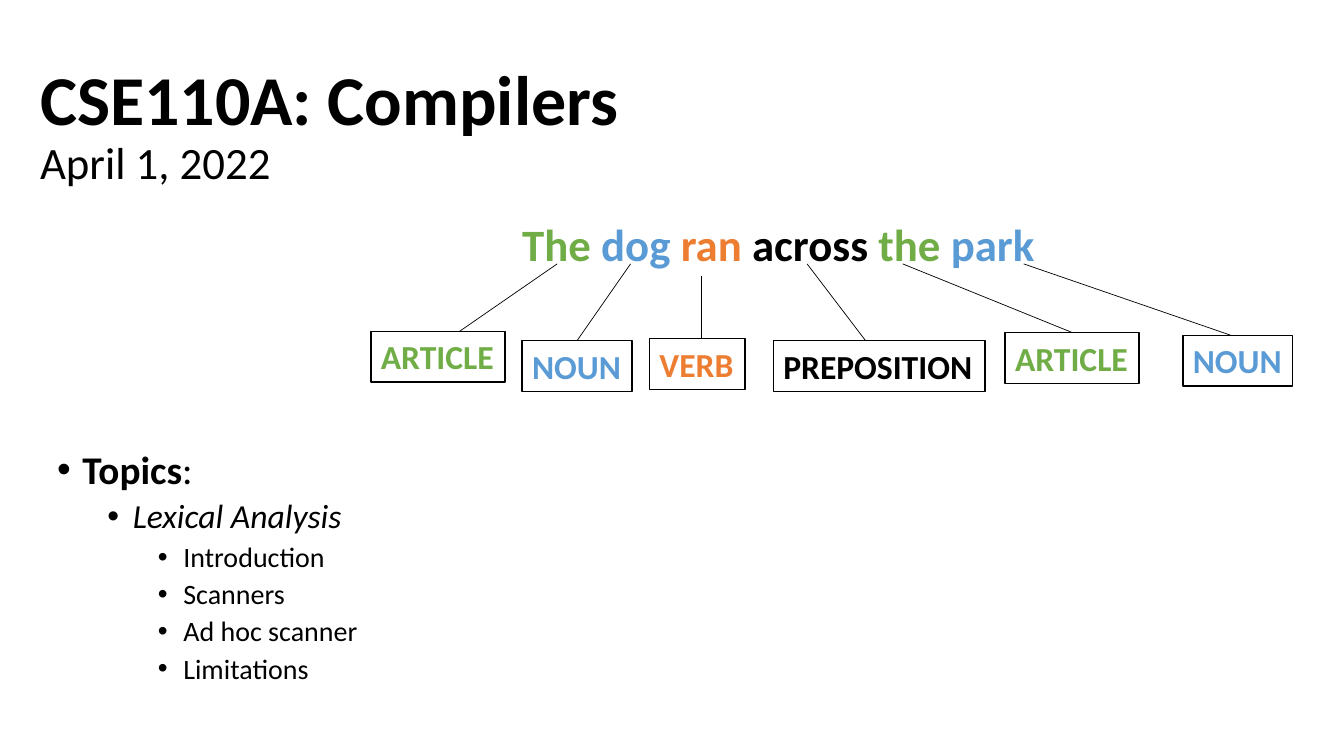
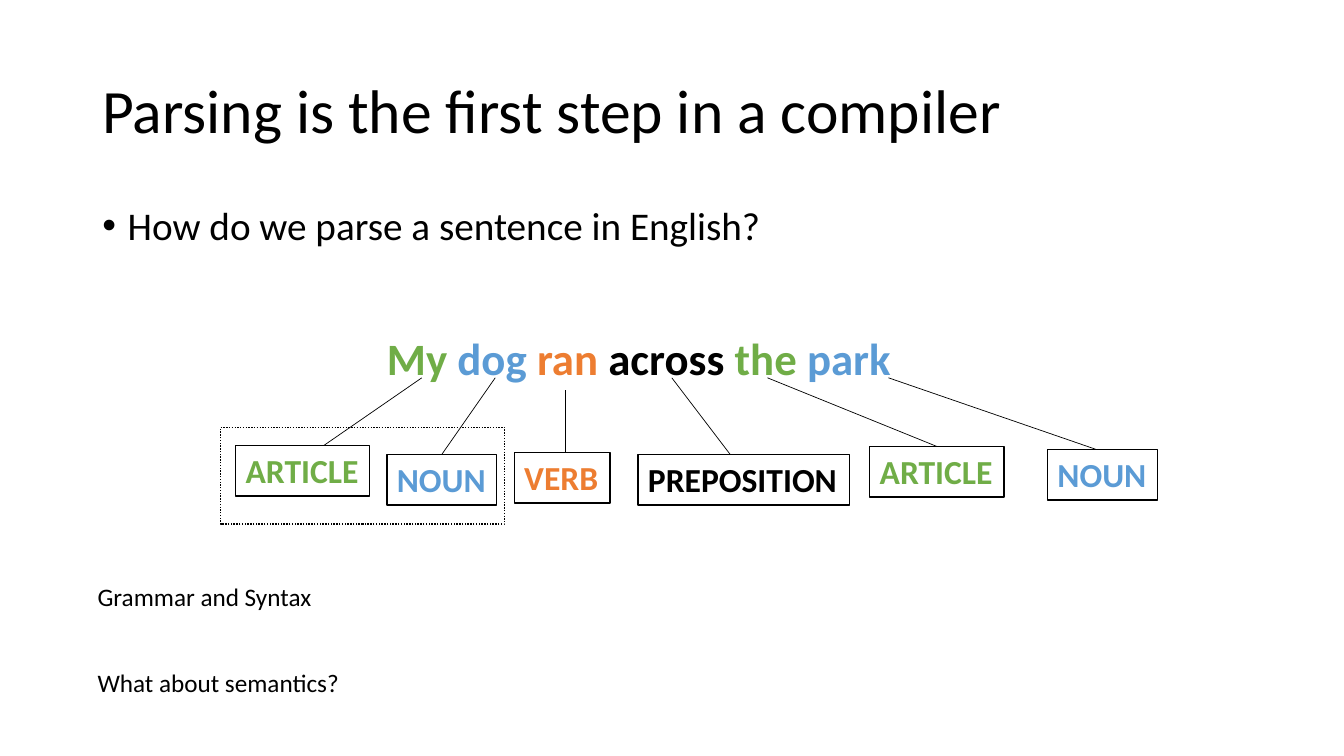
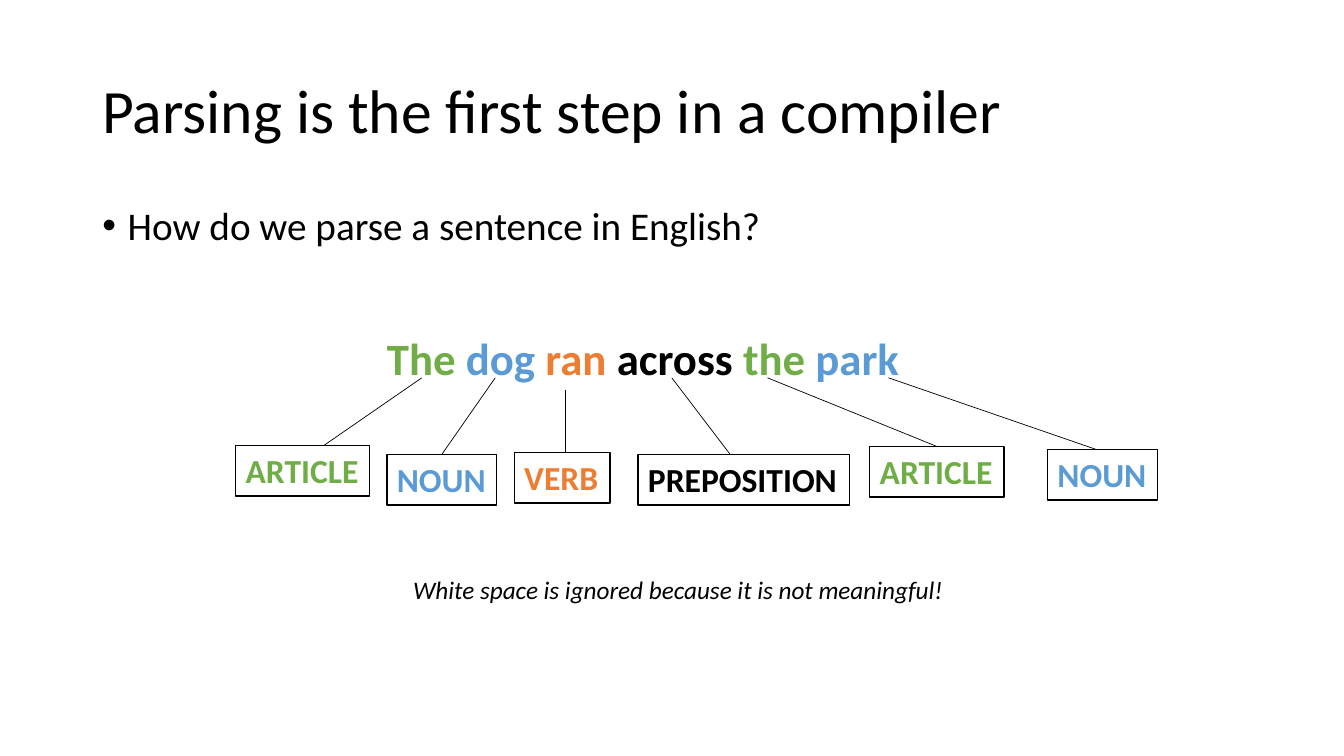
from dataclasses import dataclass

import pptx
import pptx.dml.color
import pptx.enum.dml
import pptx.enum.shapes
import pptx.enum.text
import pptx.oxml.ns
import pptx.util
from lxml import etree

Cm = pptx.util.Cm
Pt = pptx.util.Pt
ANCHOR = pptx.enum.text.MSO_ANCHOR


@dataclass(frozen=True)
class Theme:
    font: str = "Calibri"
    ink: str = "000000"
    paper: str = "FFFFFF"
    article: str = "70AD47"
    noun: str = "5B9BD5"
    verb: str = "ED7D31"
    cover_title: int = 50
    title: int = 44
    sentence: int = 32
    levels: tuple = (28, 24, 20)
    label: int = 24
    note: int = 18
    line_spacing: float = 0.9
    branch_width: float = 0.5
    border_width: float = 1


THEME = Theme()

LABEL_HEIGHT = 1.28
BRANCH_TOP = 1.32

# One row per word, in cm from the diagram's corner:
# label, colour, label left, top, width, branch start x, start y,
# branch end x (None joins the middle of the label's top side)
PARTS_OF_SPEECH = [
    ("ARTICLE", THEME.article, 0, 3.02, 3.38, 4.69, BRANCH_TOP, 2.23),
    ("NOUN", THEME.noun, 3.81, 3.25, 2.77, 6.54, BRANCH_TOP, None),
    ("VERB", THEME.verb, 7.02, 3.2, 2.41, 8.32, 1.63, 8.32),
    ("PREPOSITION", THEME.ink, 10.14, 3.25, 5.33, 10.99, BRANCH_TOP, 12.46),
    ("ARTICLE", THEME.article, 15.98, 3.05, 3.38, 13.4, BRANCH_TOP, None),
    ("NOUN", THEME.noun, 20.46, 3.12, 2.77, 16.45, BRANCH_TOP, 21.67),
]


def rgb(colour):
    return pptx.dml.color.RGBColor.from_string(colour)


def format_run(run, size, colour=THEME.ink, bold=False, italic=False):
    run.font.name = THEME.font
    run.font.size = Pt(size)
    run.font.color.rgb = rgb(colour)
    run.font.bold = bold
    run.font.italic = italic


def add_text_box(slide, left, top, width, height, anchor=ANCHOR.TOP, wrap=True):
    shape = slide.shapes.add_textbox(Cm(left), Cm(top), Cm(width), Cm(height))
    text_frame = shape.text_frame
    text_frame.word_wrap = wrap
    text_frame.vertical_anchor = anchor
    if not wrap:
        text_frame.auto_size = pptx.enum.text.MSO_AUTO_SIZE.SHAPE_TO_FIT_TEXT
    return text_frame


def add_title(slide, text, left, top, width, height, styles):
    """Place a title; styles holds one (size, bold) pair per line."""
    text_frame = add_text_box(slide, left, top, width, height, ANCHOR.MIDDLE)
    paragraph = text_frame.paragraphs[0]
    paragraph.text = text
    paragraph.line_spacing = THEME.line_spacing
    for run, (size, bold) in zip(paragraph.runs, styles):
        format_run(run, size, bold=bold)


def add_bullets(slide, items, left, top, width, height):
    """Place a bulleted list of (level, text, italic) items."""
    text_frame = add_text_box(slide, left, top, width, height)
    text_frame.text = "\n".join(text for _, text, _ in items)
    for index, (level, _, italic) in enumerate(items):
        paragraph = text_frame.paragraphs[index]
        properties = paragraph._p.get_or_add_pPr()
        properties.set("marL", str(Cm(0.64 + 1.27 * level)))
        properties.set("indent", str(-Cm(0.64)))
        bullet_font = etree.SubElement(properties, pptx.oxml.ns.qn("a:buFont"))
        bullet_font.set("typeface", "Arial")
        bullet = etree.SubElement(properties, pptx.oxml.ns.qn("a:buChar"))
        bullet.set("char", "•")
        paragraph.level = level
        paragraph.line_spacing = THEME.line_spacing
        paragraph.space_before = Pt(5 if index else 0)
        for run in paragraph.runs:
            format_run(run, THEME.levels[level], italic=italic)
    return text_frame


def add_note(slide, text, left, top, width, italic=False):
    text_frame = add_text_box(slide, left, top, width, 1.02, wrap=False)
    text_frame.text = text
    format_run(text_frame.paragraphs[0].runs[0], THEME.note, italic=italic)


def add_rectangle(slide, left, top, width, height):
    shape = slide.shapes.add_shape(
        pptx.enum.shapes.MSO_SHAPE.RECTANGLE, Cm(left), Cm(top), Cm(width), Cm(height))
    shape.shadow.inherit = False
    shape.line.color.rgb = rgb(THEME.ink)
    shape.line.width = Pt(THEME.border_width)
    return shape


def add_label(slide, text, colour, left, top, width):
    shape = add_rectangle(slide, left, top, width, LABEL_HEIGHT)
    shape.fill.solid()
    shape.fill.fore_color.rgb = rgb(THEME.paper)
    text_frame = shape.text_frame
    text_frame.word_wrap = False
    text_frame.auto_size = pptx.enum.text.MSO_AUTO_SIZE.SHAPE_TO_FIT_TEXT
    text_frame.vertical_anchor = ANCHOR.TOP
    text_frame.text = text
    paragraph = text_frame.paragraphs[0]
    paragraph.alignment = pptx.enum.text.PP_ALIGN.LEFT
    format_run(paragraph.runs[0], THEME.label, colour, bold=True)
    return shape


def add_branch(slide, start_x, start_y, end_x, end_y):
    connector = slide.shapes.add_connector(
        pptx.enum.shapes.MSO_CONNECTOR.STRAIGHT,
        Cm(start_x), Cm(start_y), Cm(end_x), Cm(end_y))
    connector.line.color.rgb = rgb(THEME.ink)
    connector.line.width = Pt(THEME.branch_width)
    etree.SubElement(connector._element.spPr, pptx.oxml.ns.qn("a:effectLst"))
    return connector


def add_sentence_diagram(slide, sentence, left, top, width):
    """Place a coloured sentence with a branch from each word to its label."""
    # Sentence
    words = sentence.split()
    text_frame = add_text_box(slide, left + 3.56, top, width, 1.62, wrap=False)
    paragraph = text_frame.paragraphs[0]
    for index, (word, part) in enumerate(zip(words, PARTS_OF_SPEECH)):
        run = paragraph.add_run()
        run.text = word if index == len(words) - 1 else word + " "
        format_run(run, THEME.sentence, part[1], bold=True)

    # Labels and branches
    for text, colour, x, y, label_width, start_x, start_y, end_x in PARTS_OF_SPEECH:
        label = add_label(slide, text, colour, left + x, top + y, label_width)
        joined = end_x is None
        target_x = x + label_width / 2 if joined else end_x
        branch = add_branch(slide, left + start_x, top + start_y,
                            left + target_x, top + y)
        if joined:
            branch.end_connect(label, 0)


def add_phrase_frame(slide, left, top, width, height):
    shape = add_rectangle(slide, left, top, width, height)
    shape.fill.background()
    shape.line.dash_style = pptx.enum.dml.MSO_LINE.ROUND_DOT


def build_cover(slide):
    add_title(slide, "CSE110A: Compilers\vApril 1, 2022", 0.76, 1.04, 29.21, 4.32,
              [(THEME.cover_title, True), (THEME.sentence, False)])
    topics = [(0, "Topics", False), (1, "Lexical Analysis", True)]
    topics += [(2, text, False) for text in
               ("Introduction", "Scanners", "Ad hoc scanner", "Limitations")]
    text_frame = add_bullets(slide, topics, 1.19, 11.23, 19.18, 6.68)
    heading = text_frame.paragraphs[0]
    heading.runs[0].font.bold = True
    colon = heading.add_run()
    colon.text = ":"
    format_run(colon, THEME.levels[0])
    add_sentence_diagram(slide, "The dog ran across the park", 9.35, 5.33, 13.51)


def build_parsing(slide, sentence, sentence_width):
    left, width = 2.33, 29.21
    add_title(slide, "Parsing is the first step in a compiler", left, 1.01, width, 3.68,
              [(THEME.title, False)])
    add_bullets(slide, [(0, "How do we parse a sentence in English?", False)],
                left, 5.07, width, 1.78)
    add_sentence_diagram(slide, sentence, 5.94, 8.2, sentence_width)


def main():
    presentation = pptx.Presentation()
    presentation.slide_width = Cm(33.87)
    presentation.slide_height = Cm(19.05)
    cover, grammar, spacing = [
        presentation.slides.add_slide(presentation.slide_layouts[6]) for _ in range(3)]

    # Cover
    build_cover(cover)

    # Grammar and semantics
    add_phrase_frame(grammar, 5.56, 10.77, 7.16, 2.44)
    build_parsing(grammar, "My dog ran across the park", 13.31)
    add_note(grammar, "Grammar and Syntax", 2.21, 14.53, 5.97)
    add_note(grammar, "What about semantics?", 2.21, 16.69, 6.68)

    # White space
    build_parsing(spacing, "The dog ran across the park", 13.51)
    add_note(spacing, "White space is ignored because it is not meaningful!",
             10.16, 14.35, 14.1, italic=True)

    presentation.save("out.pptx")


if __name__ == "__main__":
    main()
